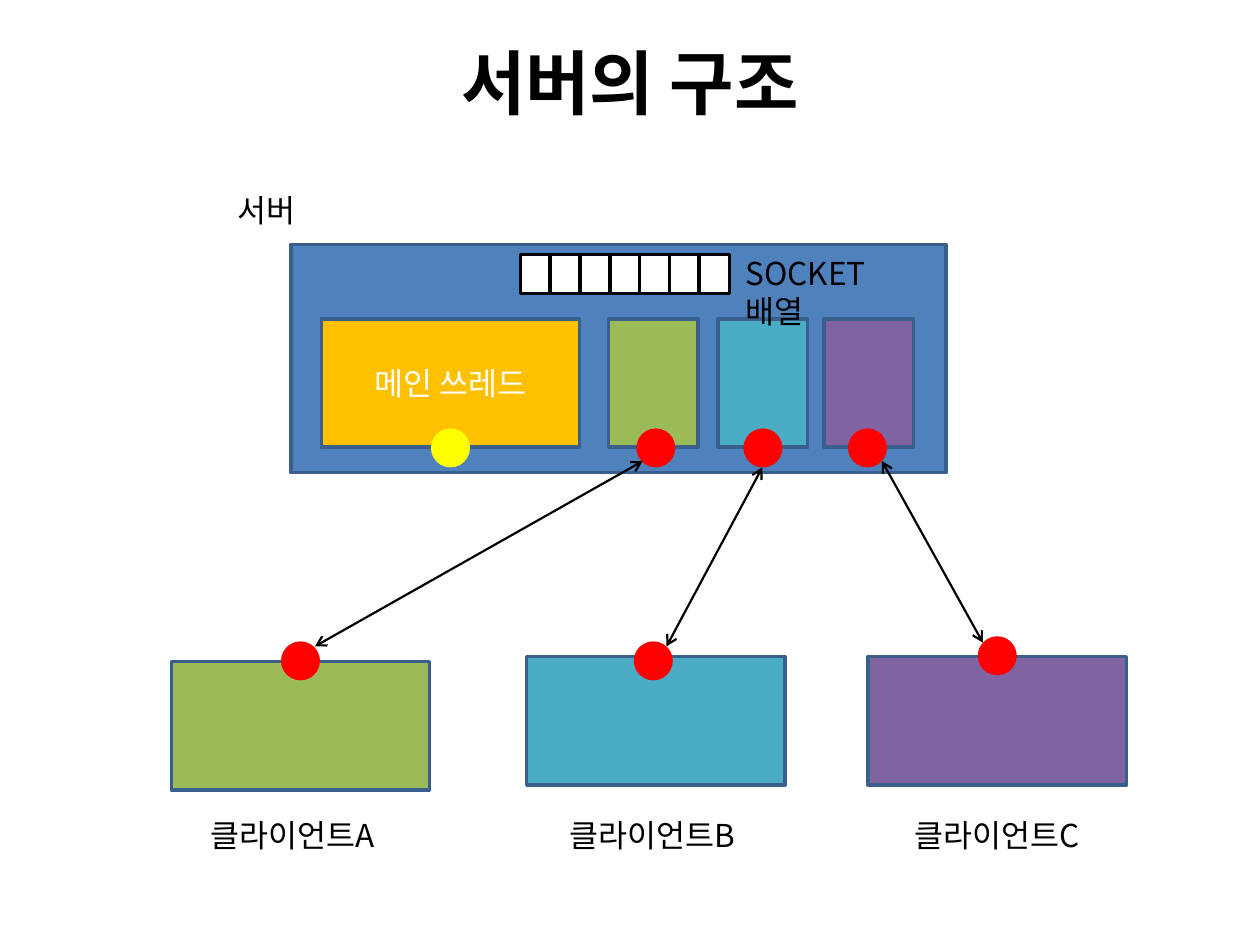
from lxml import etree
from pptx import Presentation, util as u
from pptx.dml.color import RGBColor
from pptx.enum import shapes, text
from pptx.oxml.ns import qn

FONT = "Noto Sans CJK KR"
COLORS = {
    "black": "000000", "white": "FFFFFF", "server": "4F81BD", "edge": "3A5F8C",
    "main": "FFC000", "green": "9BBB59", "teal": "4BACC6", "purple": "8064A2",
    "socket": "FF0000", "listener": "FFFF00",
}
RECTANGLE, OVAL = shapes.MSO_SHAPE.RECTANGLE, shapes.MSO_SHAPE.OVAL

presentation = Presentation()
presentation.slide_width, presentation.slide_height = u.Inches(10), u.Inches(7.5)
slide = presentation.slides.add_slide(presentation.slide_layouts[6])


def add_block(kind, left, top, width, height, fill, edge=None):
    """Add a filled preset shape, outlined when an edge colour is given."""
    shape = slide.shapes.add_shape(kind, *map(u.Inches, (left, top, width, height)))
    shape.shadow.inherit = False
    shape.fill.solid()
    shape.fill.fore_color.rgb = RGBColor.from_string(COLORS[fill])
    if edge:
        shape.line.color.rgb = RGBColor.from_string(COLORS[edge])
        shape.line.width = u.Pt(2)
    else:
        shape.line.fill.background()
    return shape


def write(shape, words, color="black", size=18, bold=False, align=text.PP_ALIGN.LEFT):
    """Write one run of text into a shape."""
    shape.text_frame.word_wrap = True
    paragraph = shape.text_frame.paragraphs[0]
    paragraph.alignment = align
    run = paragraph.add_run()
    run.text = words
    run.font.name, run.font.size, run.font.bold = FONT, u.Pt(size), bold
    run.font.color.rgb = RGBColor.from_string(COLORS[color])
    etree.SubElement(run.font._element, qn("a:ea"), typeface=FONT)


# Server with its main thread and socket array
BOX_WIDTH, BOX_HEIGHT, THREAD_WIDTH, DOT = 2.05, 1.02, 0.71, 0.31
THREAD_TOP, THREAD_DOT_TOP = 2.53, 3.4
add_block(RECTANGLE, 2.31, 1.94, 5.2, 1.81, "server", "edge")
main_thread = add_block(RECTANGLE, 2.55, THREAD_TOP, BOX_WIDTH, BOX_HEIGHT, "main", "edge")
main_thread.text_frame.vertical_anchor = text.MSO_ANCHOR.MIDDLE
write(main_thread, "메인 쓰레드", "white", align=text.PP_ALIGN.CENTER)
add_block(OVAL, 3.42, THREAD_DOT_TOP, DOT, DOT, "listener")
CELLS, CELL_WIDTH = 7, 0.24
for cell in range(CELLS):
    add_block(RECTANGLE, 4.13 + cell * 1.42 / (CELLS - 1), 2.02, CELL_WIDTH, 0.31, "white", "black")

# One worker thread per client: colour, thread left, thread dot left,
# client left, client top, client dot left, arrow start, arrow end
clients = [
    ("green", 4.83, 5.05, 1.36, 5.25, 2.23, (2.5, 5.13), (5.1, 3.66)),
    ("teal", 5.7, 5.9, 4.18, 5.21, 5.03, (5.29, 5.13), (6.05, 3.71)),
    ("purple", 6.54, 6.73, 6.89, 5.21, 7.76, (7.8, 5.1), (7, 3.66)),
]
dot_tops = [5.09, 5.09, 5.05]
for client, dot_top in zip(clients, dot_tops):
    color, thread_left, thread_dot, left, top, client_dot, start, end = client
    add_block(RECTANGLE, thread_left, THREAD_TOP, THREAD_WIDTH, BOX_HEIGHT, color, "edge")
    add_block(RECTANGLE, left, top, BOX_WIDTH, BOX_HEIGHT, color, "edge")
    add_block(OVAL, thread_dot, THREAD_DOT_TOP, DOT, DOT, "socket")
    add_block(OVAL, client_dot, dot_top, DOT, DOT, "socket")
    arrow = slide.shapes.add_connector(
        shapes.MSO_CONNECTOR.STRAIGHT, *map(u.Inches, start + end))
    arrow.line.color.rgb = RGBColor.from_string(COLORS["black"])
    arrow.line.width = u.Pt(1.25)
    line = arrow.line._get_or_add_ln()
    for tip in ("a:headEnd", "a:tailEnd"):
        etree.SubElement(line, qn(tip), type="arrow")
    etree.SubElement(arrow._element.spPr, qn("a:effectLst"))

# Labels
labels = [
    ("서버", 1.79, 1.47, 0.71),
    ("클라이언트A", 1.57, 6.43, 1.63),
    ("클라이언트B", 4.42, 6.43, 1.61),
    ("클라이언트C", 7.16, 6.43, 1.62),
    ("SOCKET 배열", 5.82, 1.97, 1.7),
]
for words, left, top, width in labels:
    label = slide.shapes.add_textbox(*map(u.Inches, (left, top, width, 0.4)))
    write(label, words)
label.text_frame.margin_right = u.Inches(0.4)

title = slide.shapes.add_textbox(*map(u.Inches, (0.5, 0.3, 9, 0.69)))
title.text_frame.vertical_anchor = text.MSO_ANCHOR.MIDDLE
write(title, "서버의 구조", size=40, bold=True, align=text.PP_ALIGN.CENTER)

presentation.save("out.pptx")
